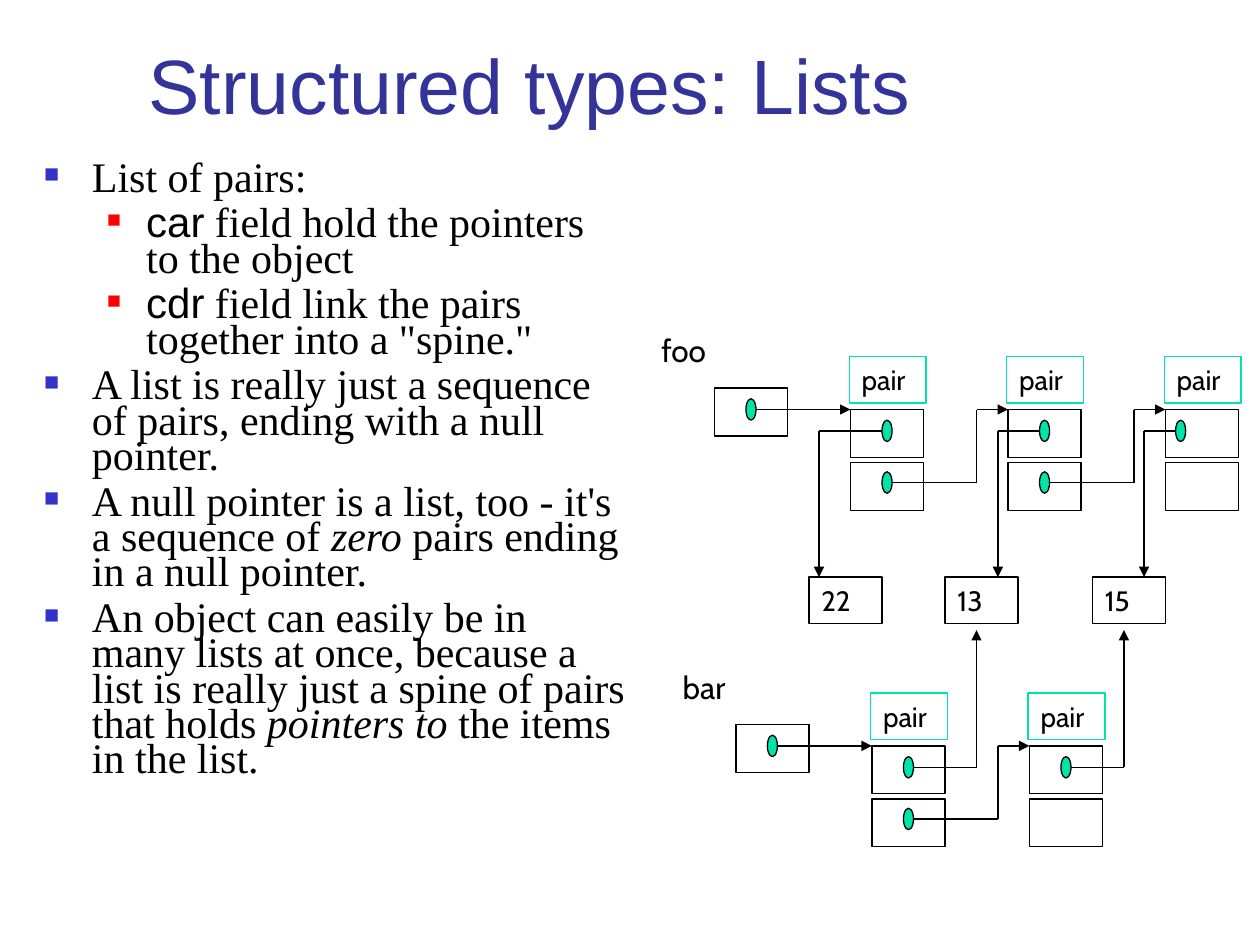
from lxml import etree
from pptx import Presentation
from pptx.dml.color import RGBColor
from pptx.enum import shapes, text
from pptx.oxml.ns import qn
from pptx.util import Inches, Pt

COLORS = {"title": "333399", "ink": "000000", "mint": "00E4A8",
          "blue": "3333CC", "red": "FF0000"}
SERIF, SANS, LABEL = "Times New Roman", "Arial", "Cabin"
# level: left margin, indent, bullet colour, bullet size
LEVELS = {0: (0.38, -0.38, "blue", 60), 1: (0.81, -0.31, "red", 55)}
# level, then runs of text, font and italic
POINTS = [
    (0, [("List of pairs:", SERIF, False)]),
    (1, [("car", SANS, False),
         (" field hold the pointers to the object", SERIF, False)]),
    (1, [("cdr", SANS, False),
         (' field link the pairs together into a "spine."', SERIF, False)]),
    (0, [("A list is really just a sequence of pairs, ending with a null "
          "pointer.", SERIF, False)]),
    (0, [("A null pointer is a list, too - it's a sequence of ", SERIF, False),
         ("zero", SERIF, True),
         (" pairs ending in a null pointer.", SERIF, False)]),
    (0, [("An object can easily be in many lists at once, because a list is "
          "really just a spine of pairs that holds ", SERIF, False),
         ("pointers to", SERIF, True),
         (" the items in the list.", SERIF, False)]),
]
ITEMS = [("22", 6.42), ("13", 7.5), ("15", 8.67)]
# name, first pair x and y, item edge y, and per pair: dot offset, bend x
LISTS = [
    ("foo", 6.75, 3.25, 4.58, [(0.25, 6.5), (0.25, 7.92), (0.08, 9.08)]),
    ("bar", 6.92, 5.92, 5.0, [(0.25, 7.75), (0.25, 8.92)]),
]
STEP, BOX_W, BOX_H, DOT_W, DOT_H = 1.25, 0.58, 0.38, 0.08, 0.17


def color(name):
    return RGBColor.from_string(COLORS[name])


def place(shape, *at):
    shape.left, shape.top, shape.width, shape.height = map(Inches, at)


def add_run(para, words, size, font, hue="ink", italic=False):
    run = para.add_run()
    run.text = words
    run.font.size, run.font.name = Pt(size), font
    run.font.italic = italic
    run.font.color.rgb = color(hue)


def add_bullet(para, level):
    left, indent, hue, size = LEVELS[level]
    props = para._p.get_or_add_pPr()
    props.set("marL", str(Inches(left)))
    props.set("indent", str(Inches(indent)))
    tint = etree.SubElement(props, qn("a:buClr"))
    etree.SubElement(tint, qn("a:srgbClr"), val=COLORS[hue])
    etree.SubElement(props, qn("a:buSzPct"), val=str(size * 1000))
    etree.SubElement(props, qn("a:buFont"), typeface=SANS)
    etree.SubElement(props, qn("a:buChar"), char="■")


def fill_title(title):
    place(title, 1.08, 0, 8.52, 1.08)
    frame = title.text_frame
    frame.auto_size = text.MSO_AUTO_SIZE.NONE
    frame.vertical_anchor = text.MSO_ANCHOR.BOTTOM
    para = frame.paragraphs[0]
    para.alignment = text.PP_ALIGN.LEFT
    add_run(para, "Structured types: Lists", 44, SANS, "title")


def fill_body(body):
    place(body, 0.25, 1.25, 4.83, 5.58)
    frame = body.text_frame
    frame.auto_size = text.MSO_AUTO_SIZE.NONE
    for num, (level, runs) in enumerate(POINTS):
        para = frame.add_paragraph() if num else frame.paragraphs[0]
        para.level = level
        para.line_spacing, para.space_before = 0.7, Pt(6)
        add_bullet(para, level)
        for words, font, italic in runs:
            add_run(para, words, 24, font, italic=italic)


def write(shape, words, size, wrap):
    frame = shape.text_frame
    frame.word_wrap = wrap
    frame.auto_size = text.MSO_AUTO_SIZE.SHAPE_TO_FIT_TEXT
    frame.vertical_anchor = text.MSO_ANCHOR.TOP
    para = frame.paragraphs[0]
    para.alignment = text.PP_ALIGN.LEFT
    add_run(para, words, size, LABEL)


def add_box(slide, x, y, w=BOX_W, h=BOX_H, line="ink", words="", wrap=True):
    box = slide.shapes.add_shape(shapes.MSO_SHAPE.RECTANGLE,
                                 *map(Inches, (x, y, w, h)))
    box.shadow.inherit = False
    box.fill.background()
    box.line.color.rgb = color(line)
    box.line.width = Pt(0.74)
    if words:
        write(box, words, 16, wrap)


def add_dot(slide, x, y):
    """Draw a pointer dot with its left edge at x and its middle at y."""
    dot = slide.shapes.add_shape(
        shapes.MSO_SHAPE.OVAL,
        *map(Inches, (x, y - DOT_H / 2, DOT_W, DOT_H)))
    dot.shadow.inherit = False
    dot.fill.solid()
    dot.fill.fore_color.rgb = color("mint")
    dot.line.color.rgb = color("ink")
    dot.line.width = Pt(0.74)


def add_wire(slide, *points):
    """Join the points with straight lines and put an arrowhead at the end."""
    for start, end in zip(points, points[1:]):
        line = slide.shapes.add_connector(
            shapes.MSO_CONNECTOR.STRAIGHT, *map(Inches, start + end))
        line.line.color.rgb = color("ink")
        line.line.width = Pt(0.74)
        etree.SubElement(line._element.spPr, qn("a:effectLst"))
    etree.SubElement(line.line._get_or_add_ln(), qn("a:tailEnd"),
                     type="triangle")


def add_head(slide, name, x, y):
    """Draw the named variable that points to the first pair."""
    label = slide.shapes.add_textbox(
        *map(Inches, (x - 1.6, y - 0.67, 0.59, 0.4)))
    write(label, name, 18, False)
    add_box(slide, x - 1.08, y - 0.17)
    add_wire(slide, (x - 0.75, y), (x, y))
    add_dot(slide, x - 0.83, y)


def add_pair(slide, x, y, edge, shift, bend, last):
    add_box(slide, x - 0.01, y - 0.42, 0.61, 0.37, "mint", "pair", False)
    car, cdr = y + 0.17, y + 0.58
    for top in (y, y + 0.42):
        add_box(slide, x, top)
    # Pointer to the item
    add_wire(slide, (x + shift, car), (bend, car), (bend, edge))
    add_dot(slide, x + shift, car)
    # Pointer to the next pair
    if not last:
        turn = x + 1
        add_wire(slide, (x + shift, cdr), (turn, cdr), (turn, y),
                 (x + STEP, y))
        add_dot(slide, x + shift, cdr)


def main():
    deck = Presentation()
    deck.slide_width, deck.slide_height = Inches(10), Inches(7.5)
    slide = deck.slides.add_slide(deck.slide_layouts[1])
    fill_title(slide.shapes.title)
    fill_body(slide.placeholders[1])
    # Shared items
    for words, x in ITEMS:
        add_box(slide, x, 4.58, h=0.37, words=words)
    # Two lists that point to them
    for name, x, y, edge, pairs in LISTS:
        add_head(slide, name, x, y)
        for num, (shift, bend) in enumerate(pairs):
            add_pair(slide, x + num * STEP, y, edge, shift, bend,
                     num == len(pairs) - 1)
    deck.save("out.pptx")


main()
